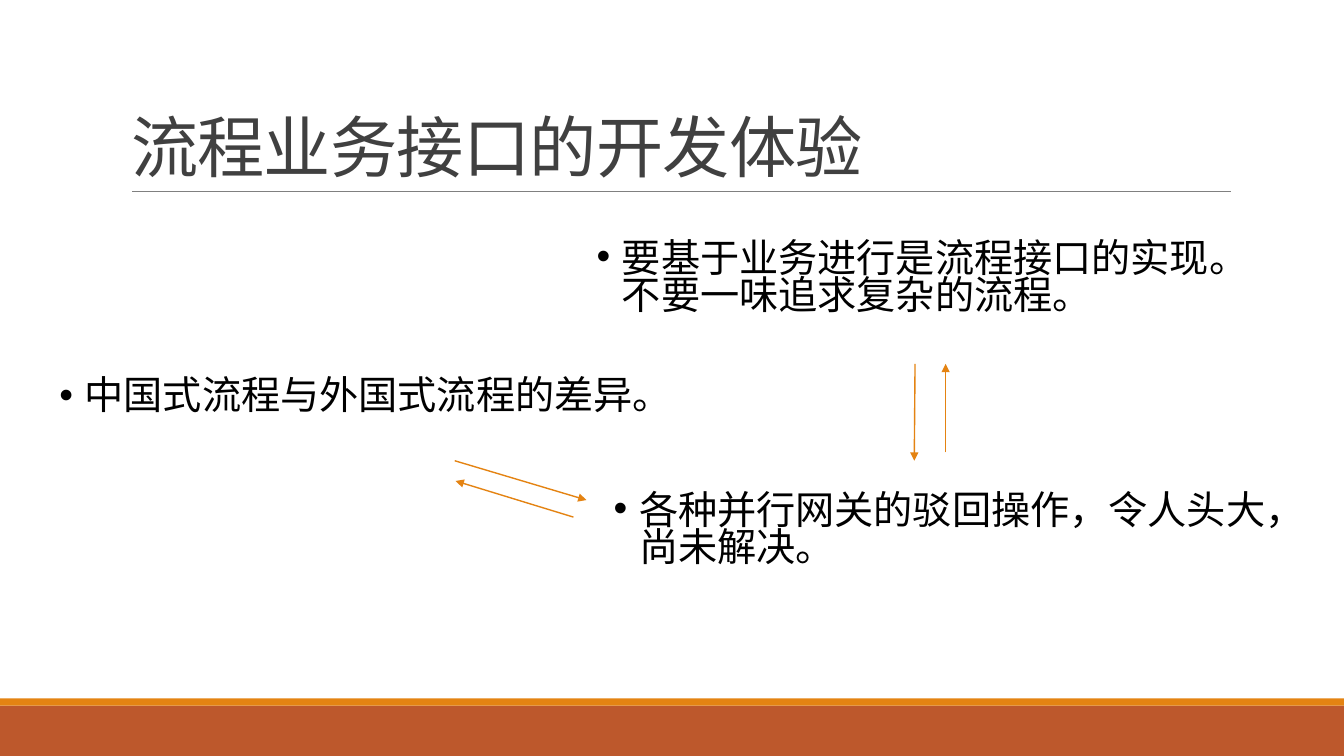
from dataclasses import dataclass

from lxml.etree import SubElement
from pptx import Presentation
from pptx.dml.color import RGBColor
from pptx.enum.shapes import MSO_CONNECTOR, MSO_SHAPE
from pptx.enum.text import MSO_ANCHOR, MSO_AUTO_SIZE, PP_ALIGN
from pptx.oxml.ns import qn
from pptx.shapes.base import BaseShape
from pptx.slide import Slide
from pptx.util import Cm, Pt

STRAIGHT = MSO_CONNECTOR.STRAIGHT
RECTANGLE = MSO_SHAPE.RECTANGLE
TOP, BOTTOM = MSO_ANCHOR.TOP, MSO_ANCHOR.BOTTOM
NO_AUTOFIT = MSO_AUTO_SIZE.NONE
LEFT = PP_ALIGN.LEFT
COMPARISON_LAYOUT = 4


@dataclass(frozen=True)
class Theme:
    font: str = "Calibri"
    title_size: float = 48
    note_size: float = 28
    title_color: str = "404040"
    note_color: str = "000000"
    accent: str = "E48312"
    footer: str = "BD582C"
    rule: str = "808080"


@dataclass(frozen=True)
class Box:
    """Position and size in centimetres."""
    left: float
    top: float
    width: float
    height: float


@dataclass(frozen=True)
class Note:
    text: str
    left: float
    top: float
    line_spacing: float


@dataclass(frozen=True)
class Line:
    """End points in centimetres; an arrow points at the second one."""
    start: tuple[float, float]
    end: tuple[float, float]
    color: str
    width: float = 1
    arrow: bool = True


THEME = Theme()
SLIDE_WIDTH, SLIDE_HEIGHT = 33.87, 19.05
NOTE_WIDTH, NOTE_HEIGHT = 17.25, 2.26
BULLET_INDENT = 0.64

TITLE_BOX = Box(3.05, 0.79, 27.94, 4.04)
BARS = [
    (Box(0, 17.78, SLIDE_WIDTH, 1.27), THEME.footer),
    (Box(0, 17.6, SLIDE_WIDTH, 0.18), THEME.accent),
]
NOTES = [
    Note("中国式流程与外国式流程的差异。", 1.24, 9.35, 0.9),
    Note("各种并行网关的驳回操作，令人头大，尚未解决。", 15.21, 12.32, 0.8),
    Note("要基于业务进行是流程接口的实现。不要一味追求复杂的流程。", 14.78, 5.97, 0.8),
]
LINES = [
    Line((3.33, 4.83), (31.01, 4.83), THEME.rule, 0.5, arrow=False),
    Line((23.06, 9.17), (23.04, 11.61), THEME.accent),
    Line((23.83, 11.4), (23.83, 9.17), THEME.accent),
    Line((11.46, 11.61), (14.78, 12.6), THEME.accent),
    Line((14.45, 13.03), (11.48, 12.12), THEME.accent),
]


def place(shape: BaseShape, box: Box) -> None:
    shape.left, shape.top = Cm(box.left), Cm(box.top)
    shape.width, shape.height = Cm(box.width), Cm(box.height)


def write_text(shape: BaseShape, text: str, *, size: float, color: str,
               line_spacing: float, anchor: MSO_ANCHOR = TOP,
               space_before: float = 0, tracking: float = 0,
               bullet: bool = False) -> None:
    frame = shape.text_frame
    frame.word_wrap = True
    frame.auto_size = NO_AUTOFIT
    frame.vertical_anchor = anchor
    paragraph = frame.paragraphs[0]
    paragraph.alignment = LEFT
    paragraph.line_spacing = line_spacing
    paragraph.space_before = Pt(space_before)
    run = paragraph.add_run()
    run.text = text
    run.font.name = THEME.font
    run.font.size = Pt(size)
    run.font.bold = False
    run.font.color.rgb = RGBColor.from_string(color)
    if tracking:
        run._r.get_or_add_rPr().set("spc", str(round(tracking * 100)))
    if bullet:
        properties = paragraph._p.get_or_add_pPr()
        properties.set("marL", str(Cm(BULLET_INDENT)))
        properties.set("indent", str(-Cm(BULLET_INDENT)))
        SubElement(properties, qn("a:buFont")).set("typeface", "Arial")
        SubElement(properties, qn("a:buChar")).set("char", "•")


def add_bar(slide: Slide, box: Box, color: str) -> None:
    bar = slide.shapes.add_shape(RECTANGLE, 0, 0, 0, 0)
    place(bar, box)
    bar.shadow.inherit = False
    bar.fill.solid()
    bar.fill.fore_color.rgb = RGBColor.from_string(color)
    bar.line.fill.background()


def add_line(slide: Slide, line: Line) -> None:
    points = [Cm(value) for value in line.start + line.end]
    connector = slide.shapes.add_connector(STRAIGHT, *points)
    connector.line.width = Pt(line.width)
    connector.line.color.rgb = RGBColor.from_string(line.color)
    if line.arrow:
        SubElement(connector.get_or_add_ln(), qn("a:tailEnd")).set("type", "triangle")
    SubElement(connector._element.spPr, qn("a:effectLst"))


def main() -> None:
    presentation = Presentation()
    presentation.slide_width = Cm(SLIDE_WIDTH)
    presentation.slide_height = Cm(SLIDE_HEIGHT)
    slide = presentation.slides.add_slide(presentation.slide_layouts[COMPARISON_LAYOUT])
    title, *bodies = slide.placeholders

    place(title, TITLE_BOX)
    write_text(title, "流程业务接口的开发体验", size=THEME.title_size,
               color=THEME.title_color, line_spacing=0.85, anchor=BOTTOM, tracking=-0.5)
    for body, note in zip(bodies, NOTES):
        place(body, Box(note.left, note.top, NOTE_WIDTH, NOTE_HEIGHT))
        write_text(body, note.text, size=THEME.note_size, color=THEME.note_color,
                   line_spacing=note.line_spacing, space_before=10, bullet=True)
    for unused in bodies[len(NOTES):]:
        unused.element.getparent().remove(unused.element)

    for box, color in BARS:
        add_bar(slide, box, color)
    for line in LINES:
        add_line(slide, line)
    presentation.save("out.pptx")


if __name__ == "__main__":
    main()
